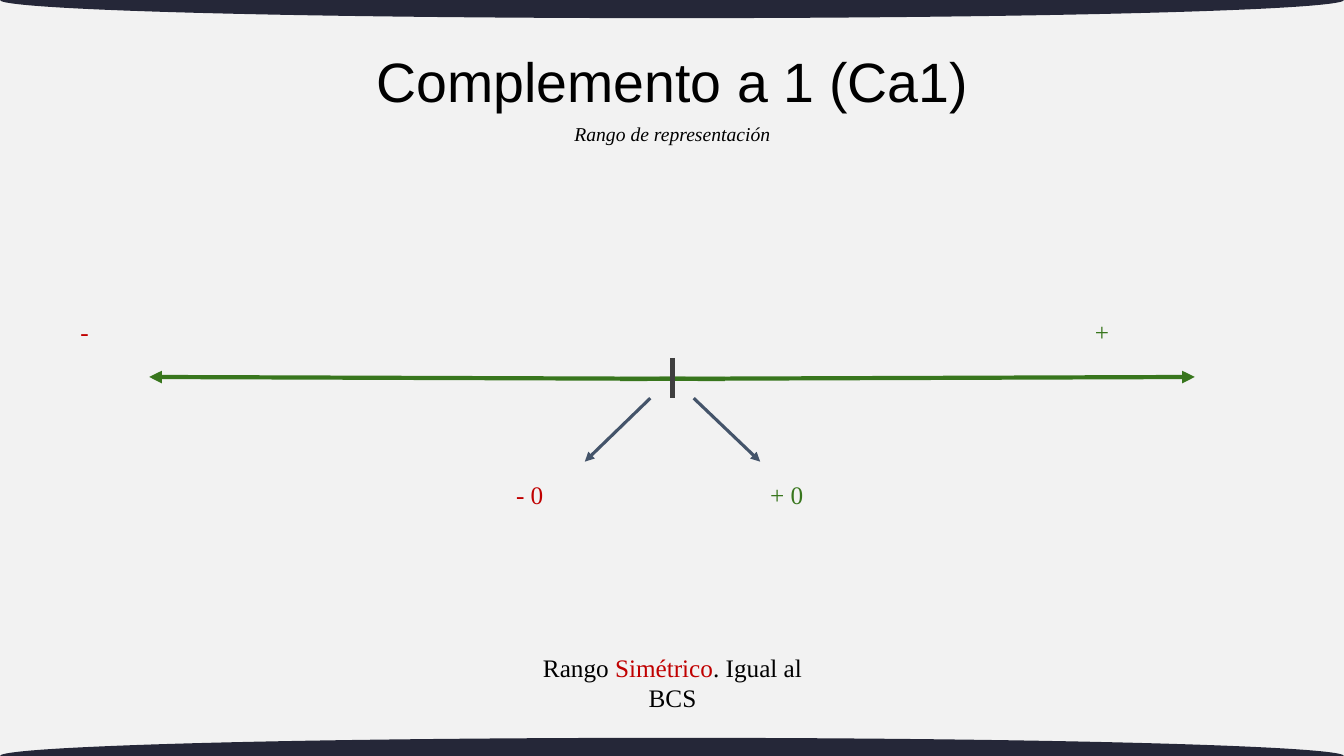
from dataclasses import dataclass
from typing import Any

from lxml.etree import SubElement
from pptx import Presentation
from pptx.dml.color import RGBColor
from pptx.enum.shapes import MSO_CONNECTOR as Connector, MSO_SHAPE as Preset
from pptx.enum.text import MSO_ANCHOR as Anchor, PP_ALIGN as Align
from pptx.oxml.ns import qn
from pptx.util import Inches, Pt


@dataclass(frozen=True)
class Theme:
    background: str = "F2F2F2"
    band: str = "252738"
    text: str = "000000"
    positive: str = "38761D"
    negative: str = "C00000"
    origin: str = "3F3F3F"
    pointer: str = "44546A"
    title_font: str = "Arial"
    body_font: str = "Times New Roman"
    title_size: float = 39.6
    subtitle_size: float = 14
    body_size: float = 18


THEME = Theme()
WIDTH, HEIGHT = 13.33, 7.5
BAND_HEIGHT = 0.36


@dataclass(frozen=True)
class Label:
    box: tuple[float, float, float, float]
    runs: tuple[tuple[str, str], ...]
    size: float = THEME.body_size
    font: str = THEME.body_font
    align: Align = Align.CENTER
    anchor: Anchor = Anchor.TOP
    italic: bool = False
    inset: float = 0.1
    line_spacing: float = 1.0


@dataclass(frozen=True)
class Stroke:
    start: tuple[float, float]
    end: tuple[float, float]
    color: str
    width: float = 3
    arrow: bool = True


TITLE = Label((3.43, 0.37, 6.48, 0.94), (("Complemento a 1 (Ca1)", THEME.text),),
              size=THEME.title_size, font=THEME.title_font,
              anchor=Anchor.MIDDLE, inset=0.05, line_spacing=0.9)

LABELS = (
    Label((4.4, 1.16, 4.54, 0.34), (("Rango de representación", THEME.text),),
          size=THEME.subtitle_size, italic=True, inset=0.05),
    Label((7.54, 4.66, 0.78, 0.62), (("+ 0", THEME.positive),), align=Align.LEFT),
    Label((5.02, 4.66, 0.78, 0.62), (("- 0", THEME.negative),), align=Align.LEFT),
    Label((5.17, 6.37, 3, 0.87), (("Rango ", THEME.text),
                                  ("Simétrico", THEME.negative),
                                  (". Igual al BCS", THEME.text))),
    Label((0.64, 3.04, 0.46, 0.4), (("- ", THEME.negative),)),
    Label((10.73, 3.04, 0.46, 0.4), (("+ ", THEME.positive),)),
)

STROKES = (
    Stroke((6.15, 3.76), (11.85, 3.74), THEME.positive),
    Stroke((7.19, 3.76), (1.48, 3.74), THEME.positive),
    Stroke((6.67, 3.55), (6.67, 3.95), THEME.origin, arrow=False),
    Stroke((6.88, 3.95), (7.54, 4.58), THEME.pointer, 2.25),
    Stroke((6.45, 3.95), (5.8, 4.58), THEME.pointer, 2.25),
)


def apply(target: Any, values: dict[str, Any]) -> None:
    for name, value in values.items():
        setattr(target, name, value)


def write_label(holder: Any, label: Label) -> None:
    frame = holder.text_frame
    apply(frame, {
        "word_wrap": True,
        "vertical_anchor": label.anchor,
        "margin_left": Inches(0.1),
        "margin_right": Inches(0.1),
        "margin_top": Inches(label.inset),
        "margin_bottom": Inches(label.inset),
    })
    paragraph = frame.paragraphs[0]
    apply(paragraph, {"alignment": label.align, "line_spacing": label.line_spacing})
    for words, color in label.runs:
        run = paragraph.add_run()
        run.text = words
        apply(run.font, {"name": label.font, "size": Pt(label.size),
                         "italic": label.italic})
        run.font.color.rgb = RGBColor.from_string(color)


def draw_title(slide: Any, label: Label) -> None:
    title = slide.shapes.title
    sides = map(Inches, label.box)
    apply(title, dict(zip(("left", "top", "width", "height"), sides)))
    write_label(title, label)


def draw_label(slide: Any, label: Label) -> None:
    write_label(slide.shapes.add_textbox(*map(Inches, label.box)), label)


def draw_band(slide: Any, center: float) -> None:
    band = slide.shapes.add_shape(Preset.OVAL, 0, Inches(center - BAND_HEIGHT / 2),
                                  Inches(WIDTH), Inches(BAND_HEIGHT))
    band.shadow.inherit = False
    band.fill.solid()
    band.fill.fore_color.rgb = RGBColor.from_string(THEME.band)
    band.line.fill.background()


def draw_stroke(slide: Any, stroke: Stroke) -> None:
    connector = slide.shapes.add_connector(
        Connector.STRAIGHT, *map(Inches, stroke.start + stroke.end))
    connector.line.color.rgb = RGBColor.from_string(stroke.color)
    connector.line.width = Pt(stroke.width)
    properties = connector.element.spPr
    if stroke.arrow:
        SubElement(properties.find(qn("a:ln")), qn("a:tailEnd"), type="triangle")
    SubElement(properties, qn("a:effectLst"))


def main() -> None:
    deck = Presentation()
    apply(deck, {"slide_width": Inches(WIDTH), "slide_height": Inches(HEIGHT)})
    slide = deck.slides.add_slide(deck.slide_layouts.get_by_name("Title Only"))
    slide.background.fill.solid()
    slide.background.fill.fore_color.rgb = RGBColor.from_string(THEME.background)
    for edge in (0, HEIGHT):
        draw_band(slide, edge)
    draw_title(slide, TITLE)
    for stroke in STROKES:
        draw_stroke(slide, stroke)
    for label in LABELS:
        draw_label(slide, label)
    deck.save("out.pptx")


if __name__ == "__main__":
    main()
